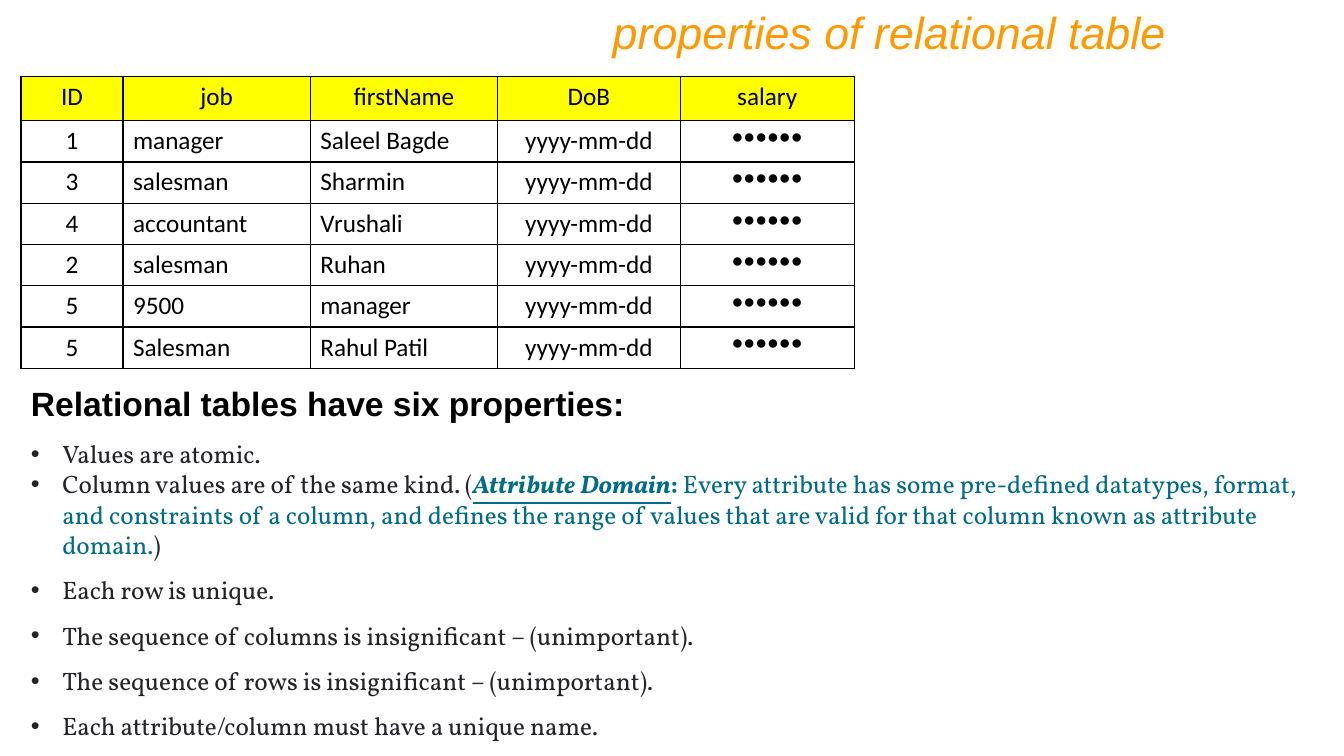
from lxml import etree
from pptx import Presentation
from pptx.dml.color import RGBColor
from pptx.enum.text import MSO_AUTO_SIZE, PP_ALIGN
from pptx.oxml.ns import qn
from pptx.util import Cm, Pt

LEFT, MID, RIGHT = PP_ALIGN.LEFT, PP_ALIGN.CENTER, PP_ALIGN.RIGHT
GROW = MSO_AUTO_SIZE.SHAPE_TO_FIT_TEXT
INK = {"black": "000000", "dark": "23232A", "teal": "006C86",
       "orange": "FF9900", "yellow": "FFFF00"}

HEAD = ["ID", "job", "firstName", "DoB", "salary"]
STAFF = [
    ("1", "manager", "Saleel Bagde"),
    ("3", "salesman", "Sharmin"),
    ("4", "accountant", "Vrushali"),
    ("2", "salesman", "Ruhan"),
    ("5", "9500", "manager"),
    ("5", "Salesman", "Rahul Patil"),
]
DATE, DOTS = "yyyy-mm-dd", "●●●●●●"
ALIGN = [MID, LEFT, LEFT, MID, MID]
WIDTHS = [2.57, 4.72, 4.72, 4.6, 4.39]

DOMAIN = ("Every attribute has some pre-defined datatypes, format, and "
          "constraints of a column, and defines the range of values that are "
          "valid for that column known as attribute domain.")
# Each point: line spacing, then its runs
POINTS = [
    (1.5, [("Values are atomic.", {})]),
    (1, [
        ("Column values are of the same kind. (", {}),
        ("Attribute Domain",
         dict(color="teal", bold=True, italic=True, under=True)),
        (": ", dict(color="teal", bold=True)),
        (DOMAIN, dict(color="teal")),
        (")", {}),
    ]),
    (1.5, [("Each row is unique.", {})]),
    (1.5, [("The sequence of columns is insignificant – (unimportant).", {})]),
    (1.5, [("The sequence of rows is insignificant – (unimportant).", {})]),
    (1.5, [("Each attribute/column must have a unique name.", {})]),
]


def write(para, text, font="Arial", size=18, color="black",
          bold=False, italic=False, under=False):
    run = para.add_run()
    run.text = text
    face = run.font
    face.name, face.size = font, Pt(size)
    face.bold, face.italic, face.underline = bold, italic, under
    face.color.rgb = RGBColor.from_string(INK[color])


class Page:
    def __init__(self, slide):
        self.slide = slide
        self.body = dict(font="Vollkorn", size=18, color="dark")

    def box(self, x, y, w, h):
        shape = self.slide.shapes.add_textbox(Cm(x), Cm(y), Cm(w), Cm(h))
        frame = shape.text_frame
        frame.word_wrap = True
        frame.auto_size = GROW
        return frame

    def point(self, frame, space, runs):
        para = frame.add_paragraph()
        props = para._p.get_or_add_pPr()
        props.set("marL", str(Cm(0.79)))
        props.set("indent", str(Cm(-0.79)))
        etree.SubElement(props, qn("a:buFont"), typeface="Arial")
        etree.SubElement(props, qn("a:buChar"), char="•")
        para.line_spacing = space
        for text, look in runs:
            write(para, text, **{**self.body, **look})

    def border(self, cell):
        props = cell._tc.get_or_add_tcPr()
        for side in ("lnL", "lnR", "lnT", "lnB"):
            line = etree.SubElement(props, qn("a:" + side), w=str(Pt(1)))
            fill = etree.SubElement(line, qn("a:solidFill"))
            etree.SubElement(fill, qn("a:srgbClr"), val=INK["black"])

    def table(self, x, y, rows):
        tall = [1.11] + [1.04] * (len(rows) - 1)
        grid = self.slide.shapes.add_table(
            len(rows), len(WIDTHS), Cm(x), Cm(y),
            Cm(sum(WIDTHS)), Cm(sum(tall))).table
        grid.first_row = grid.horz_banding = False
        for col, width in zip(grid.columns, WIDTHS):
            col.width = Cm(width)
        for r, row in enumerate(rows):
            grid.rows[r].height = Cm(tall[r])
            for c, text in enumerate(row):
                cell = grid.cell(r, c)
                self.border(cell)
                if r == 0:
                    cell.fill.solid()
                    cell.fill.fore_color.rgb = RGBColor.from_string(INK["yellow"])
                else:
                    cell.fill.background()
                para = cell.text_frame.paragraphs[0]
                para.alignment = MID if r == 0 else ALIGN[c]
                if text == DOTS:
                    write(para, text, size=14)
                else:
                    write(para, text, font="Calibri")


def main():
    deck = Presentation()
    deck.slide_width, deck.slide_height = Cm(33.87), Cm(19.05)
    page = Page(deck.slides.add_slide(deck.slide_layouts[6]))

    # Properties
    frame = page.box(0.53, 9.53, 32.8, 9.25)
    write(frame.paragraphs[0], "Relational tables have six properties:",
          size=24, bold=True)
    for space, runs in POINTS:
        page.point(frame, space, runs)

    # Title
    para = page.box(4.24, 0, 25.4, 1.8).paragraphs[0]
    para.alignment = RIGHT
    write(para, "properties of relational table",
          size=32, color="orange", italic=True)

    # Staff table
    page.table(0.53, 1.93, [HEAD] + [[*row, DATE, DOTS] for row in STAFF])

    deck.save("out.pptx")


if __name__ == "__main__":
    main()
